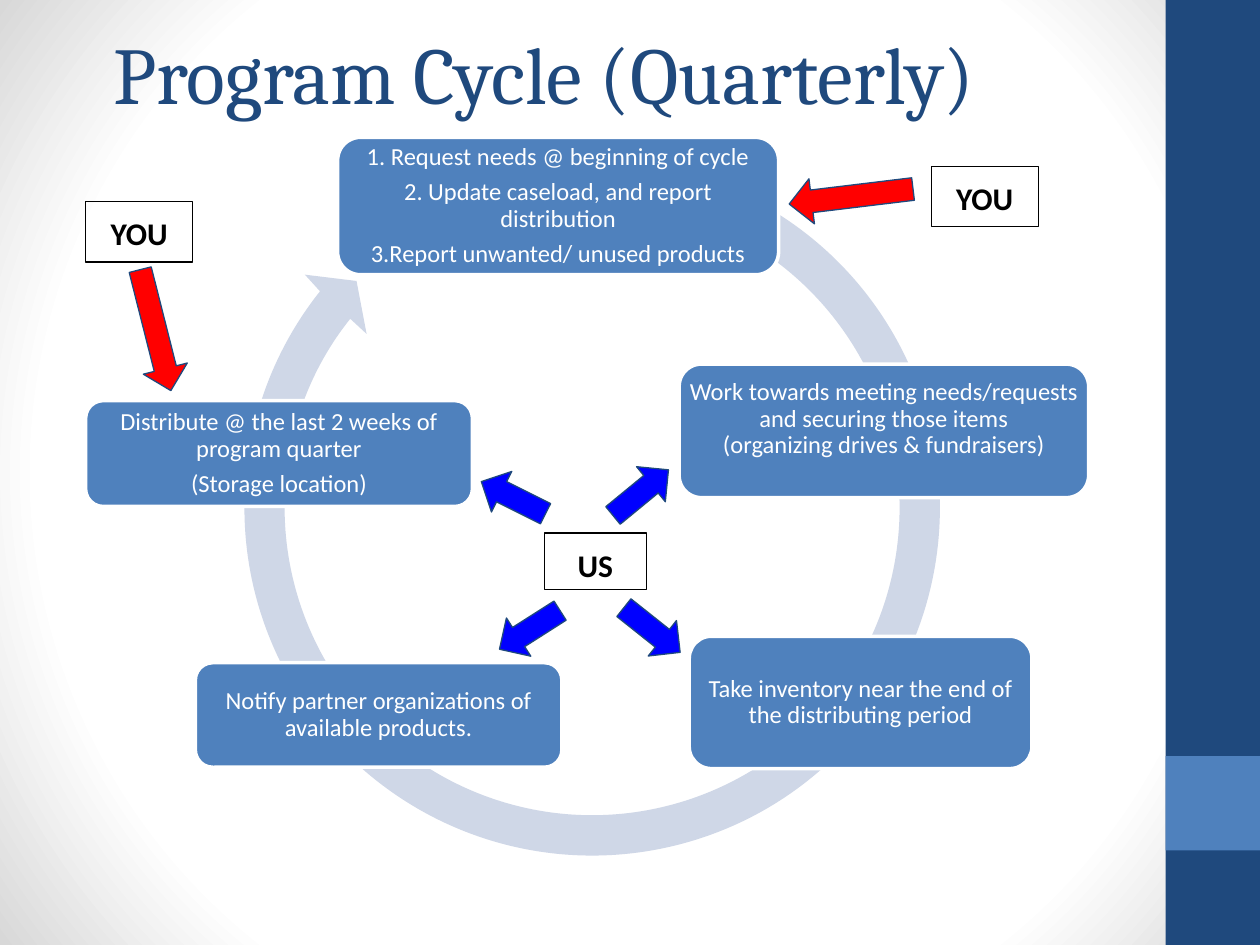
import math
from lxml import etree
from pptx import Presentation
from pptx import util as u
from pptx.dml.color import RGBColor
from pptx.enum import shapes, text
from pptx.oxml.ns import qn

W, H = 10, 7.5
NAVY, BLUE, RING, WHITE, BLACK = "1F497D", "4F81BD", "CFD7E7", "FFFFFF", "000000"
RED, BRIGHT = "FF0000", "0000FF"

# Content
TITLE = "Program Cycle (Quarterly)"
# (left, top, width, height), paragraphs, overrides
STEPS = [
    ((2.68, 1.09, 3.5, 1.09), ["1. Request needs @ beginning of cycle",
                               "2. Update caseload, and report distribution",
                               "3.Report unwanted/ unused products"], {}),
    ((5.39, 2.89, 3.25, 1.06), ["Work towards meeting needs/requests and securing those items",
                                "(organizing drives & fundraisers)"],
     {"gap": 0, "side": 0.01, "bottom": 0.24}),
    ((5.47, 5.05, 2.72, 1.05), ["Take inventory near the end of the distributing period"], {}),
    ((1.55, 5.26, 2.91, 0.83), ["Notify partner organizations of available products."], {}),
    ((0.68, 3.18, 3.07, 0.84), ["Distribute @ the last 2 weeks of program quarter",
                                "(Storage location)"], {}),
]
LABELS = [("YOU", (0.68, 1.6, 0.85, 0.48)),
          ("YOU", (7.39, 1.32, 0.85, 0.48)),
          ("US", (4.32, 4.23, 0.81, 0.45))]
# colour, length, then (left, top, rotation) of each arrow
ARROWS = [(RED, 0.99, [(6.26, 1.38, 353.1), (0.74, 2.44, 255.8)]),
          (BRIGHT, 0.57, [(4.8, 3.73, 140.6), (4.89, 4.82, 218.5),
                          (3.79, 3.77, 26.6), (3.92, 4.82, 327.5)])]
ARROW_H = 0.36
CENTRE, R_OUT, R_IN, RING_SIDE = (4.7, 4.03), 2.76, 2.44, 5.88
ARC_START, ARC_END = -63, 218.5
ARROWHEAD = [(2.42, 2.18), (2.83, 2.23), (2.91, 2.65), (2.78, 2.53)]

prs = Presentation()
prs.slide_width, prs.slide_height = u.Inches(W), u.Inches(H)
s = prs.slides.add_slide(prs.slide_layouts[6])


def rgb(value):
    return RGBColor.from_string(value)


def paint(sp, fill=None, line=None, weight=0.75):
    sp.shadow.inherit = False
    if fill:
        sp.fill.solid()
        sp.fill.fore_color.rgb = rgb(fill)
    else:
        sp.fill.background()
    if line:
        sp.line.color.rgb = rgb(line)
        sp.line.width = u.Pt(weight)
    else:
        sp.line.fill.background()


def add(kind, box, **look):
    sp = s.shapes.add_shape(kind, *map(u.Inches, box))
    paint(sp, **look)
    return sp


def write(sp, lines, font, frame, para):
    tf = sp.text_frame
    tf.word_wrap = True
    for name, value in frame.items():
        setattr(tf, name, value)
    for i, line in enumerate(lines):
        p = tf.paragraphs[0] if i == 0 else tf.add_paragraph()
        for name, value in para.items():
            if i or name != "space_before":
                setattr(p, name, value)
        r = p.add_run()
        r.text = line
        for name, value in font.items():
            if name == "color":
                r.font.color.rgb = rgb(value)
            else:
                setattr(r.font, name, value)


def margins(side, top, bottom):
    return {"margin_left": u.Inches(side), "margin_right": u.Inches(side),
            "margin_top": u.Inches(top), "margin_bottom": u.Inches(bottom)}


def on_ring(radius, angle, pull=0):
    """Point at an angle, moved along the tangent by pull."""
    a = math.radians(angle)
    return (CENTRE[0] + radius * math.cos(a) - pull * math.sin(a),
            CENTRE[1] + radius * math.sin(a) + pull * math.cos(a))


def arc(radius, start, end, pieces=4):
    """Cubic curves, each as two control points and an end point."""
    step = (end - start) / pieces
    pull = radius * 4 / 3 * math.tan(math.radians(step) / 4)
    return [[on_ring(radius, a, pull), on_ring(radius, a + step, -pull),
             on_ring(radius, a + step)]
            for a in (start + i * step for i in range(pieces))]


# Background: white centre fading to grey corners
s.background.fill.gradient()
grad = s.background.fill._fill._gradFill
for child in list(grad):
    grad.remove(child)
stops = etree.SubElement(grad, qn("a:gsLst"))
for pos, colour in [(0, WHITE), (75, WHITE), (100, "D8D8D8")]:
    stop = etree.SubElement(stops, qn("a:gs"), pos=str(pos * 1000))
    etree.SubElement(stop, qn("a:srgbClr"), val=colour)
shade = etree.SubElement(grad, qn("a:path"), path="circle")
etree.SubElement(shade, qn("a:fillToRect"), l="50000", t="50000", r="50000", b="50000")

# Side band
BAND = 0.75
add(shapes.MSO_SHAPE.RECTANGLE, (W - BAND, 0, BAND, H), fill=NAVY)
add(shapes.MSO_SHAPE.RECTANGLE, (W - BAND, H - 2 * BAND, BAND, BAND), fill=BLUE)

# Title
title = s.shapes.add_textbox(*map(u.Inches, (0.8, 0.14, 8.69, 0.87)))
write(title, [TITLE], {"name": "Cambria", "size": u.Pt(46), "color": NAVY},
      {"vertical_anchor": text.MSO_ANCHOR.MIDDLE, **margins(0.1, 0.05, 0.05)}, {})

# Circular arrow: a square frame whose outline is redrawn with curves
left, top = (c - RING_SIDE / 2 for c in CENTRE)
fb = s.shapes.build_freeform(u.Inches(left), u.Inches(top))
fb.add_line_segments([(u.Inches(left + RING_SIDE), u.Inches(top + RING_SIDE))])
ring = fb.convert_to_shape()
paint(ring, fill=RING)
outline = next(ring._element.iter(qn("a:path")))
for child in list(outline):
    outline.remove(child)
commands = ([("moveTo", [on_ring(R_OUT, ARC_START)])]
            + [("cubicBezTo", c) for c in arc(R_OUT, ARC_START, ARC_END)]
            + [("lnTo", [pt]) for pt in ARROWHEAD]
            + [("cubicBezTo", c) for c in arc(R_IN, ARC_END, ARC_START)]
            + [("close", [])])
for tag, points in commands:
    command = etree.SubElement(outline, qn("a:" + tag))
    for x, y in points:
        etree.SubElement(command, qn("a:pt"), x=str(u.Inches(x - left)),
                         y=str(u.Inches(y - top)))

# Cycle steps
for box, lines, opt in STEPS:
    sp = add(shapes.MSO_SHAPE.ROUNDED_RECTANGLE, box, fill=BLUE, line=WHITE, weight=2)
    write(sp, lines, {"name": "Calibri", "size": u.Pt(14), "color": WHITE},
          {"vertical_anchor": text.MSO_ANCHOR.MIDDLE,
           **margins(opt.get("side", 0.06), 0.06, opt.get("bottom", 0.06))},
          {"alignment": text.PP_ALIGN.CENTER, "line_spacing": 0.9,
           "space_before": u.Pt(opt.get("gap", 4.9))})

# Role labels
for label, box in LABELS:
    sp = add(shapes.MSO_SHAPE.RECTANGLE, box, line=BLACK)
    write(sp, [label], {"name": "Calibri", "size": u.Pt(18), "bold": True, "color": BLACK},
          {"vertical_anchor": text.MSO_ANCHOR.TOP, **margins(0.1, 0.1, 0.1)},
          {"alignment": text.PP_ALIGN.CENTER})

# Arrows from roles to steps
for colour, length, places in ARROWS:
    for x, y, rotation in places:
        sp = add(shapes.MSO_SHAPE.LEFT_ARROW, (x, y, length, ARROW_H),
                 fill=colour, line=NAVY)
        sp.rotation = rotation

prs.save("out.pptx")
